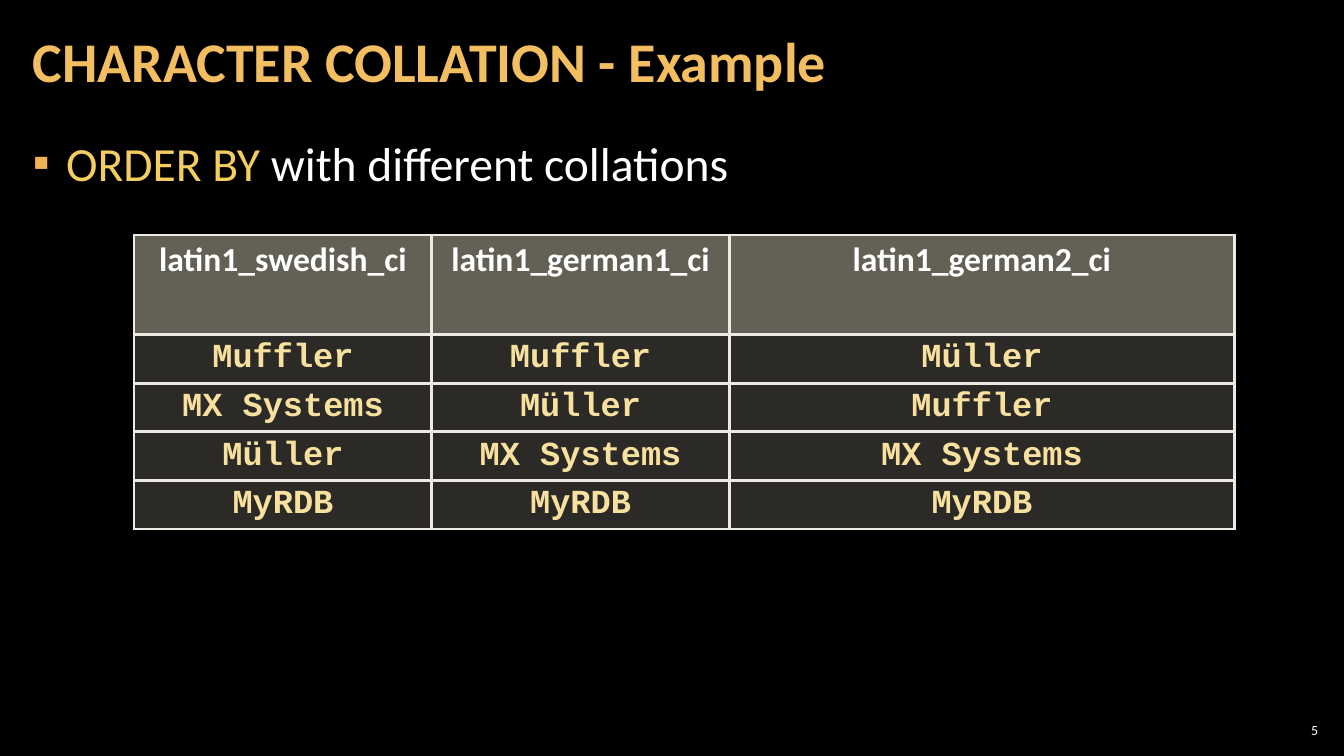
from lxml.etree import SubElement as Sub
from pptx import Presentation
from pptx.dml.color import RGBColor
from pptx.enum.text import MSO_ANCHOR as Anchor, PP_ALIGN as Align
from pptx.oxml.ns import qn
from pptx.util import Cm, Pt

GOLD, WHITE, CREAM = "F3BE60", "FFFFFF", "F8E19F"
ROWS = [
    ["latin1_swedish_ci", "latin1_german1_ci", "latin1_german2_ci"],
    ["Muffler", "Muffler", "Müller"],
    ["MX Systems", "Müller", "Muffler"],
    ["Müller", "MX Systems", "MX Systems"],
    ["MyRDB", "MyRDB", "MyRDB"],
]
COLS = [7.5, 7.5, 12.73]
HEAD, LINE = 2.51, 1.19


def paint(color, tint):
    color.rgb = RGBColor.from_string(tint)


def add_run(para, text, size, tint, bold=False, face="Calibri"):
    run = para.add_run()
    run.text = text
    font = run.font
    font.size, font.bold, font.name = Pt(size), bold, face
    paint(font.color, tint)


def add_text(slide, box, pad, anchor):
    frame = slide.shapes.add_textbox(*map(Cm, box)).text_frame
    frame.word_wrap = True
    frame.vertical_anchor = anchor
    frame.margin_left = frame.margin_right = Cm(pad)
    frame.margin_top = frame.margin_bottom = Cm(0.1)
    return frame.paragraphs[0]


def add_bullet(para, mark, tint):
    props = para._p.get_or_add_pPr()
    props.set("marL", str(Cm(0.84)))
    props.set("indent", str(-Cm(0.84)))
    Sub(Sub(props, qn("a:buClr")), qn("a:srgbClr"), val=tint)
    Sub(props, qn("a:buFont"), typeface="Calibri")
    Sub(props, qn("a:buChar"), char=mark)


def add_edges(cell, tint, width):
    props = cell._tc.get_or_add_tcPr()
    for spot, side in enumerate(["lnL", "lnR", "lnT", "lnB"]):
        edge = Sub(props, qn("a:" + side), w=str(Pt(width)))
        Sub(Sub(edge, qn("a:solidFill")), qn("a:srgbClr"), val=tint)
        props.insert(spot, edge)  # borders come before the fill


def fill_cell(cell, tint, alpha):
    cell.fill.solid()
    paint(cell.fill.fore_color, tint)
    color = cell._tc.tcPr.find(".//" + qn("a:srgbClr"))
    Sub(color, qn("a:alpha"), val=str(alpha * 1000))


def add_grid(slide, left, top):
    high = HEAD + LINE * (len(ROWS) - 1)
    size = map(Cm, (left, top, sum(COLS), high))
    grid = slide.shapes.add_table(len(ROWS), len(COLS), *size).table
    for col, width in zip(grid.columns, COLS):
        col.width = Cm(width)
    for r, words in enumerate(ROWS):
        grid.rows[r].height = Cm(LINE if r else HEAD)
        fill = ("D9D5C7", 20) if r else ("C6C0AA", 50)
        tint, face = (CREAM, "Courier New") if r else (WHITE, "Calibri")
        for c, word in enumerate(words):
            cell = grid.cell(r, c)
            cell.margin_left = cell.margin_right = Cm(0.43)
            cell.margin_top = cell.margin_bottom = Cm(0.13)
            fill_cell(cell, *fill)
            add_edges(cell, "ECEAE3", 2.25)
            para = cell.text_frame.paragraphs[0]
            para.alignment, para.line_spacing = Align.CENTER, 0.95
            add_run(para, word, 24, tint, True, face)


def main():
    prs = Presentation()
    prs.slide_width, prs.slide_height = Cm(33.87), Cm(19.05)
    slide = prs.slides.add_slide(prs.slide_layouts[6])
    back = slide.background.fill
    back.solid()
    paint(back.fore_color, "000000")

    # Title
    title = add_text(slide, (0.53, 0.1, 26.6, 3.07), 0.3, Anchor.MIDDLE)
    title.line_spacing = 0.9
    add_run(title, "CHARACTER COLLATION - Example", 40, GOLD, True)

    # Bullet point
    point = add_text(slide, (0.53, 3.2, 32.8, 15.47), 0.3, Anchor.TOP)
    point.line_spacing = 1.05
    point.space_before = point.space_after = Pt(6)
    add_bullet(point, "▪", "F2B254")
    add_run(point, "ORDER BY ", 34, "F3CD60")
    add_run(point, "with different collations", 34, WHITE)

    # Sort orders
    add_grid(slide, 3.38, 5.92)

    # Page number
    page = add_text(slide, (32.13, 18.14, 1.19, 0.53), 0.1, Anchor.MIDDLE)
    page.alignment = Align.RIGHT
    add_run(page, "5", 10, WHITE)

    prs.save("out.pptx")


main()
